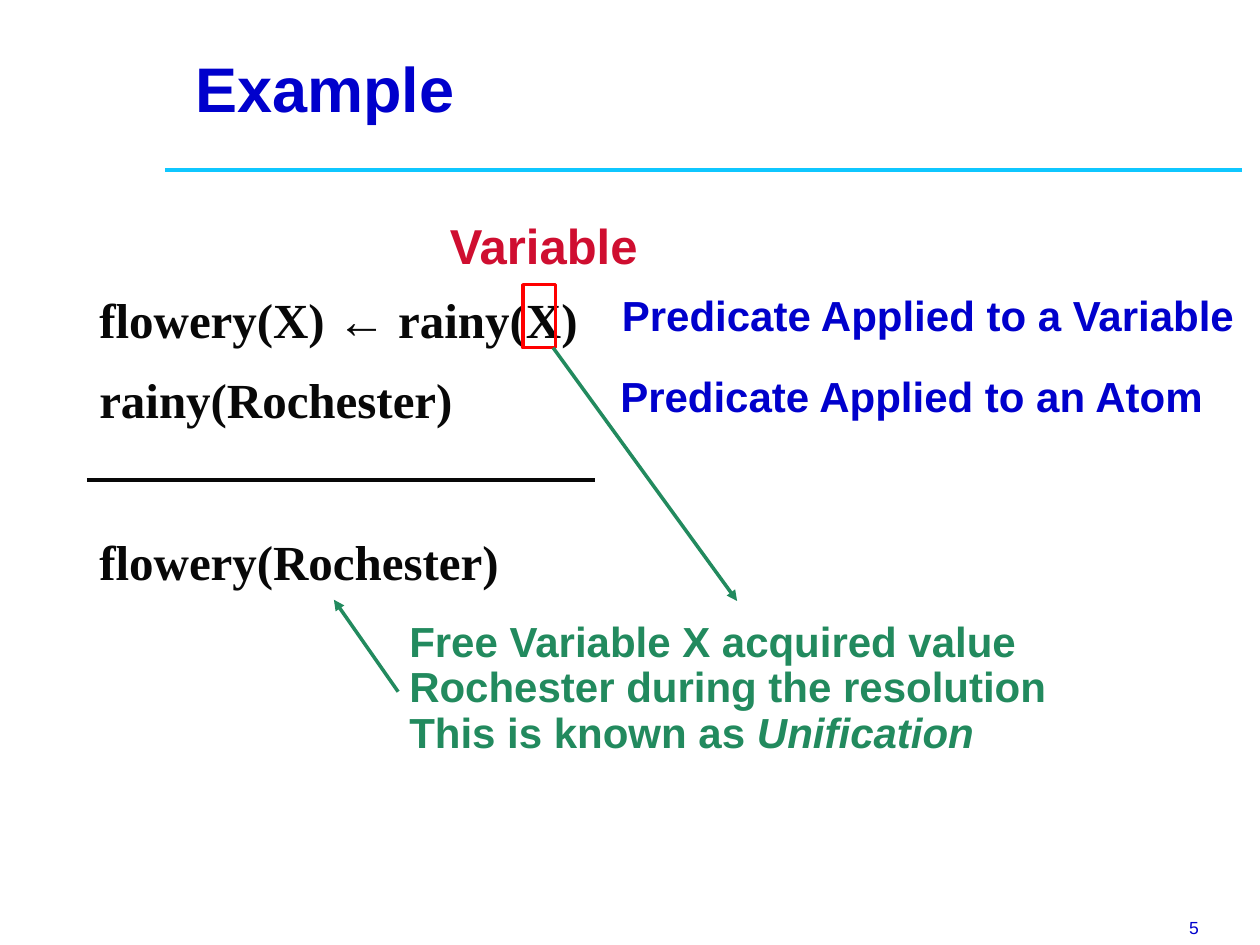
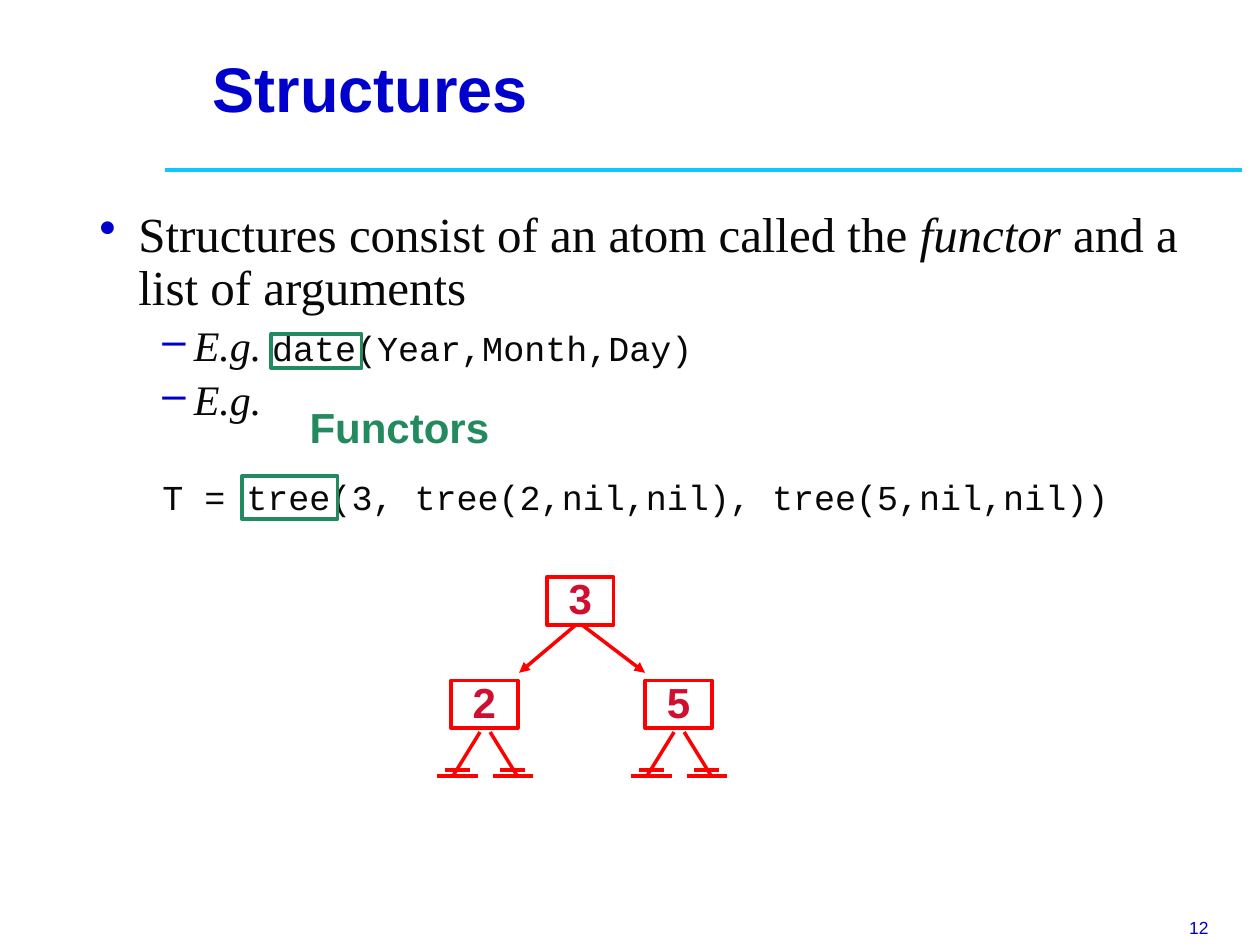
import pptx
import pptx.util
import pptx.dml.color
import pptx.enum.shapes
import pptx.enum.text
import pptx.oxml
import pptx.oxml.ns
from lxml import etree

Inches = pptx.util.Inches
Pt = pptx.util.Pt
qn = pptx.oxml.ns.qn
ALIGN = pptx.enum.text.PP_ALIGN
ANCHOR = pptx.enum.text.MSO_ANCHOR

COLORS = {"blue": "0000CC", "cyan": "0FC7FF", "ink": "080808",
          "red": "FF0000", "crimson": "CF0E30", "green": "228A5E"}
TITLE = {"name": "Arial", "size": 36, "bold": True, "color": "blue"}
NUMBER = {"name": "Arial", "size": 10, "color": "blue"}
LABEL = {"name": "Arial", "size": 24, "bold": True}
SERIF = {"name": "Times New Roman", "size": 28, "color": "ink"}
CODE = {"name": "Courier New", "size": 20, "color": "ink"}


def rgb(name):
    return pptx.dml.color.RGBColor.from_string(COLORS[name])


# Shared text helpers
def style_run(r, style):
    for key, value in style.items():
        if key == "color":
            r.font.color.rgb = rgb(value)
        else:
            setattr(r.font, key, Pt(value) if key == "size" else value)


def add_bullet(p, char, left, hanging):
    pPr = p._p.get_or_add_pPr()
    pPr.set("marL", str(Inches(left)))
    pPr.set("indent", str(-Inches(hanging)))
    if char:
        clr = etree.SubElement(pPr, qn("a:buClr"))
        etree.SubElement(clr, qn("a:srgbClr"), val=COLORS["blue"])
        etree.SubElement(pPr, qn("a:buChar"), char=char)
    else:
        etree.SubElement(pPr, qn("a:buNone"))


def fill_text(tf, paragraphs, align=ALIGN.LEFT):
    """Each paragraph is (runs, space before, bullet); a run is (text, style)."""
    for i, (runs, before, bullet) in enumerate(paragraphs):
        p = tf.paragraphs[0] if i == 0 else tf.add_paragraph()
        if bullet:
            add_bullet(p, *bullet)
        p.alignment, p.line_spacing, p.space_before = align, 0.9, Pt(before)
        for text, style in runs:
            r = p.add_run()
            r.text = text
            style_run(r, style)


def add_text(s, box, paragraphs, wrap=True, align=ALIGN.LEFT, anchor=ANCHOR.TOP):
    tf = s.shapes.add_textbox(*map(Inches, box)).text_frame
    tf.word_wrap, tf.vertical_anchor = wrap, anchor
    fill_text(tf, paragraphs, align)
    return tf


def add_label(s, box, text, color, size=24):
    style = {**LABEL, "color": color, "size": size}
    tf = add_text(s, box, [([(text, style)], 0, None)], wrap=False, align=ALIGN.CENTER)
    tf.margin_left = tf.margin_right = 0


# Shared drawing helpers
def add_line(s, start, end, color, width=2, arrow=False):
    c = s.shapes.add_connector(pptx.enum.shapes.MSO_CONNECTOR.STRAIGHT,
                               *map(Inches, (*start, *end)))
    c.line.color.rgb = rgb(color)
    c.line.width = Pt(width)
    spPr = c._element.spPr
    if arrow:
        etree.SubElement(spPr.find(qn("a:ln")), qn("a:tailEnd"), type="triangle")
    etree.SubElement(spPr, qn("a:effectLst"))


def add_frame(s, box, color):
    shape = s.shapes.add_shape(pptx.enum.shapes.MSO_SHAPE.RECTANGLE, *map(Inches, box))
    shape.shadow.inherit = False
    shape.fill.background()
    shape.line.color.rgb = rgb(color)
    shape.line.width = Pt(2)
    return shape


def new_slide(prs, title, number, title_left=1.45):
    s = prs.slides.add_slide(prs.slide_layouts[6])
    add_line(s, (1.31, 1.35), (9.86, 1.35), "cyan", 2.25)
    add_text(s, (9.34, 7.25, 0.83, 0.25), [([(number, NUMBER)], 0, None)])
    add_text(s, (title_left, 0.3, 8.12, 0.87), [([(title, TITLE)], 0, None)],
             anchor=ANCHOR.MIDDLE)
    return s


# Example slide
def add_inference(s, box):
    left, top, width, _ = box
    bold = {**SERIF, "bold": True}
    rule = [("flowery(X) ", bold), ("←", {**bold, "name": "Arial"}), (" rainy(X)", bold)]
    add_text(s, box, [(rule, 0, None),
                      ([("rainy(Rochester)", bold)], 15.8, None),
                      ([("flowery(Rochester)", bold)], 62, None)])
    add_line(s, (left, top + 1.51), (left + width, top + 1.51), "ink")


def add_unification_note(s, box):
    left, top, _, _ = box
    note = {**LABEL, "color": "green"}
    lines = [[("Free Variable X acquired value", note)],
             [("Rochester during the resolution", note)],
             [("This is known as ", note), ("Unification", {**note, "italic": True})]]
    add_text(s, box, [(runs, 0, None) for runs in lines])
    add_line(s, (left + 1.24, top - 2.12), (left + 2.7, top - 0.11), "green", arrow=True)
    add_line(s, (left + 0.01, top + 0.61), (left - 0.5, top - 0.12), "green", arrow=True)


def example_slide(prs):
    s = new_slide(prs, "Example", "5")
    add_inference(s, (0.69, 2.3, 4.03, 2.6))
    add_frame(s, (4.15, 2.26, 0.26, 0.5), "red")
    add_label(s, (3.46, 1.71, 1.71, 0.52), "Variable", "crimson", 28)
    add_label(s, (4.82, 2.29, 5.09, 0.46), "Predicate Applied to a Variable", "blue")
    add_label(s, (4.81, 2.94, 4.85, 0.46), "Predicate Applied to an Atom", "blue")
    add_unification_note(s, (3.15, 4.88, 5.6, 1.18))


# Structures slide
def add_definition(s, box):
    italic = {**SERIF, "italic": True}
    eg = {**italic, "size": 24}
    dash = ("–", 0.75, 0.25)
    add_text(s, box, [
        ([("Structures consist of an atom called the ", SERIF), ("functor", italic),
          (" and a list of arguments", SERIF)], 0, ("•", 0.31, 0.31)),
        ([("E.g. ", eg), ("date(Year,Month,Day)", CODE)], 5, dash),
        ([("E.g.", eg)], 5, dash),
        ([("T = tree(3, tree(2,nil,nil), tree(5,nil,nil))", CODE)], 32, (None, 0.75, 0.25)),
    ])


def add_node(s, left, top, value):
    tf = add_frame(s, (left, top, 0.53, 0.38), "red").text_frame
    tf.word_wrap, tf.vertical_anchor = False, ANCHOR.MIDDLE
    fill_text(tf, [([(value, {**LABEL, "color": "crimson"})], 0, None)], ALIGN.CENTER)


def add_nil_branches(s, left, top):
    """Two branches below a leaf node, each ending in a ground symbol."""
    mid = left + 0.27
    for side in (-1, 1):
        add_line(s, (mid + side * 0.04, top + 0.41), (mid + side * 0.25, top + 0.75), "red")
        ground = mid + side * 0.22
        for half, drop in ((0.16, 0.76), (0.1, 0.71)):
            add_line(s, (ground - half, top + drop), (ground + half, top + drop), "red")


def add_tree(s, left, top):
    add_node(s, left + 0.76, top, "3")
    for x, value in ((0, "2"), (1.54, "5")):
        add_node(s, left + x, top + 0.82, value)
        add_nil_branches(s, left + x, top + 0.82)
    for start, end in ((0.99, 0.54), (1.04, 1.54)):
        add_line(s, (left + start, top + 0.38), (left + end, top + 0.76), "red", arrow=True)


def structures_slide(prs):
    s = new_slide(prs, "Structures", "12", title_left=1.59)
    add_definition(s, (0.69, 1.62, 8.85, 5.22))
    add_tree(s, 3.58, 4.58)
    for functor_box in ((2.15, 2.65, 0.72, 0.27), (1.92, 3.78, 0.76, 0.34)):
        add_frame(s, functor_box, "green")
    add_label(s, (2.36, 3.18, 1.62, 0.46), "Functors", "green")


def main():
    prs = pptx.Presentation()
    prs.slide_width, prs.slide_height = Inches(10), Inches(7.5)
    example_slide(prs)
    structures_slide(prs)
    prs.save("out.pptx")


if __name__ == "__main__":
    main()
